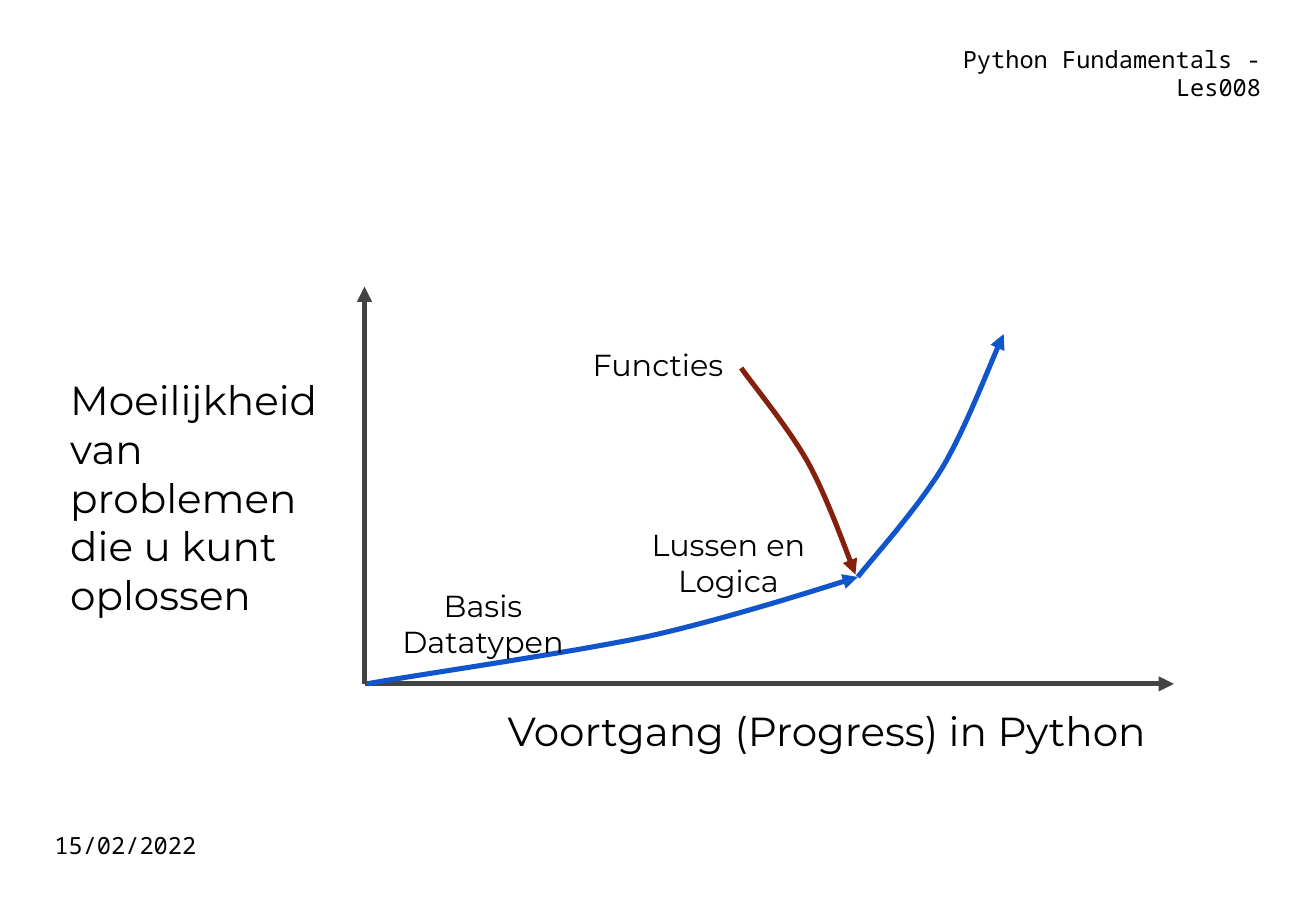
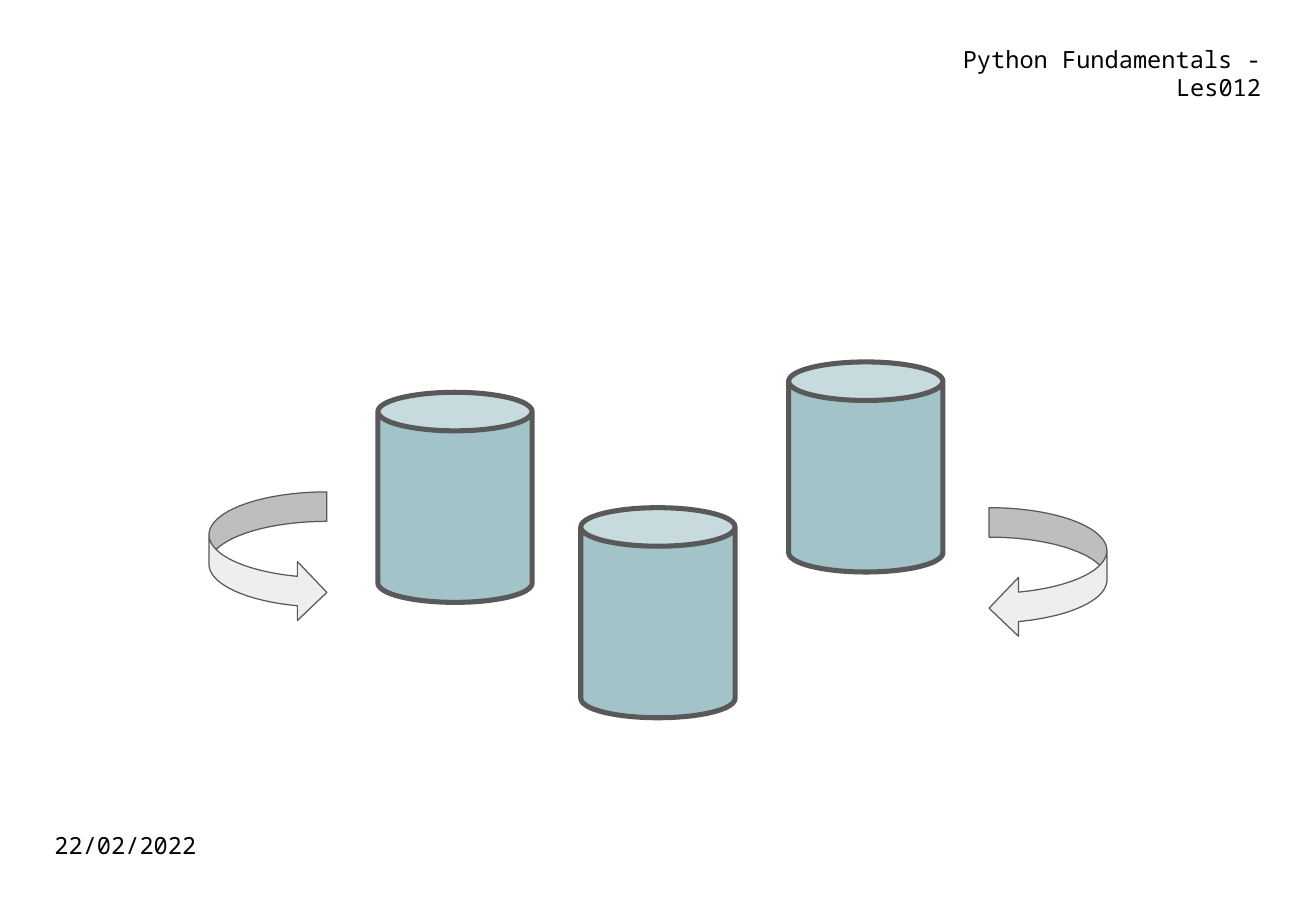
from dataclasses import dataclass

from lxml import etree
from pptx import Presentation
from pptx.dml.color import RGBColor
from pptx.enum.shapes import MSO_CONNECTOR, MSO_SHAPE
from pptx.enum.text import MSO_ANCHOR, MSO_AUTO_SIZE, PP_ALIGN
from pptx.oxml.ns import qn
from pptx.util import Inches, Pt

LEFT, CENTER, RIGHT = PP_ALIGN.LEFT, PP_ALIGN.CENTER, PP_ALIGN.RIGHT
CAN, ARROW = MSO_SHAPE.CAN, MSO_SHAPE.CURVED_RIGHT_ARROW
STRAIGHT = MSO_CONNECTOR.STRAIGHT

BLACK = RGBColor(0x00, 0x00, 0x00)
AXIS = RGBColor(0x43, 0x43, 0x43)
BLUE = RGBColor(0x11, 0x55, 0xCC)
RED = RGBColor(0x85, 0x20, 0x0C)
GRAY = RGBColor(0x59, 0x59, 0x59)
TEAL = RGBColor(0xA2, 0xC4, 0xC9)
PALE = RGBColor(0xEE, 0xEE, 0xEE)

SANS, MONO = "Montserrat", "Noto Sans Mono"
TITLE_ONLY = 5
STEPS = 16
PAD = Inches(0.1)
FRAME = {
    "word_wrap": True,
    "auto_size": MSO_AUTO_SIZE.NONE,
    "vertical_anchor": MSO_ANCHOR.TOP,
    "margin_left": PAD,
    "margin_right": PAD,
    "margin_top": PAD,
    "margin_bottom": PAD,
}

Point = tuple[float, float]
Box = tuple[float, float, float, float]


@dataclass
class Label:
    text: str
    box: Box
    size: int = 18
    align: PP_ALIGN = CENTER
    font: str = SANS


@dataclass
class Curve:
    """Cubic segments: a start, then two control points and an end for each."""
    color: RGBColor
    points: list[Point]


@dataclass
class Solid:
    kind: MSO_SHAPE
    box: Box
    fill: RGBColor
    width: float
    flip: bool = False


AXIS_ENDS = [(3, 2.36), (9.66, 5.63)]
ORIGIN = (3, 5.63)
CURVES = [
    Curve(BLUE, [(3.02, 5.63), (3.4, 5.56), (4.66, 5.38), (5.33, 5.24),
                 (6, 5.09), (6.77, 4.84), (7.06, 4.75)]),
    Curve(BLUE, [(7.06, 4.75), (7.17, 4.61), (7.54, 4.2), (7.75, 3.86),
                 (7.95, 3.53), (8.17, 2.94), (8.26, 2.75)]),
    Curve(RED, [(6.1, 3.03), (6.19, 3.16), (6.48, 3.51), (6.64, 3.79),
                (6.8, 4.07), (6.98, 4.58), (7.04, 4.73)]),
]
LABELS = [
    Label("Functies", (4.46, 2.75, 1.91, 0.42)),
    Label("Voortgang (Progress) in Python", (4.08, 5.71, 5.58, 0.48), 24, LEFT),
    Label("Moeilijkheid van problemen die u kunt oplossen",
          (0.48, 2.99, 2.6, 2.22), 24, LEFT),
    Label("Basis\nDatatypen", (3.02, 4.73, 1.91, 0.42)),
    Label("Lussen en\nLogica", (5.04, 4.23, 1.91, 0.42)),
]
CANS = [(3.11, 3.23), (4.78, 4.18), (6.49, 2.98)]
SOLIDS = [Solid(CAN, (x, y, 1.27, 1.73), TEAL, 3) for x, y in CANS] + [
    Solid(ARROW, (1.72, 4.05, 0.97, 1.07), PALE, 0.75),
    Solid(ARROW, (8.14, 4.18, 0.97, 1.07), PALE, 0.75, True),
]


def apply(item, values: dict) -> None:
    for name, value in values.items():
        setattr(item, name, value)


def write(shape, label: Label) -> None:
    names = ("left", "top", "width", "height")
    apply(shape, dict(zip(names, map(Inches, label.box))))
    frame = shape.text_frame
    frame.text = label.text
    apply(frame, FRAME)
    for para in frame.paragraphs:
        para.alignment = label.align
        apply(para.font, {"name": label.font, "size": Pt(label.size)})
        para.font.color.rgb = BLACK


def add_label(slide, label: Label) -> None:
    write(slide.shapes.add_textbox(*map(Inches, label.box)), label)


def style_line(shape, color: RGBColor, width: float) -> None:
    shape.line.color.rgb = color
    shape.line.width = Pt(width)


def add_head(shape) -> None:
    """Put a triangle at the end of a line that is already styled."""
    line = shape._element.spPr.find(qn("a:ln"))
    etree.SubElement(line, qn("a:tailEnd"), type="triangle")


def add_axis(slide, end: Point) -> None:
    axis = slide.shapes.add_connector(STRAIGHT, *map(Inches, ORIGIN + end))
    style_line(axis, AXIS, 3)
    add_head(axis)
    etree.SubElement(axis._element.spPr, qn("a:effectLst"))


def trace(points: list[Point]) -> list[Point]:
    """Return points along the cubic segments, in slide units."""
    out = [points[0]]
    for i in range(0, len(points) - 1, 3):
        part = points[i:i + 4]
        for step in range(1, STEPS + 1):
            t = step / STEPS
            u = 1 - t
            mix = (u**3, 3 * u * u * t, 3 * u * t * t, t**3)
            out.append(tuple(sum(m * p[k] for m, p in zip(mix, part))
                             for k in (0, 1)))
    return [(Inches(x), Inches(y)) for x, y in out]


def add_curve(slide, curve: Curve) -> None:
    start, *rest = trace(curve.points)
    path = slide.shapes.build_freeform(*start)
    path.add_line_segments(rest, close=False)
    shape = path.convert_to_shape()
    shape.shadow.inherit = False
    shape.fill.background()
    style_line(shape, curve.color, 3)
    add_head(shape)


def add_solid(slide, solid: Solid) -> None:
    shape = slide.shapes.add_shape(solid.kind, *map(Inches, solid.box))
    shape.shadow.inherit = False
    shape.fill.solid()
    shape.fill.fore_color.rgb = solid.fill
    style_line(shape, GRAY, solid.width)
    if solid.flip:
        shape._element.spPr.xfrm.set("flipH", "1")


def add_slide(deck, lesson: str, date: str):
    slide = deck.slides.add_slide(deck.slide_layouts[TITLE_ONLY])
    write(slide.shapes.title, Label(f"Python Fundamentals - {lesson}",
                                    (7.05, 0.27, 3.43, 0.48), 14, RIGHT, MONO))
    add_label(slide, Label(date, (0.35, 6.74, 3.43, 0.48), 14, LEFT, MONO))
    return slide


def main() -> None:
    deck = Presentation()
    deck.slide_width, deck.slide_height = Inches(10.83), Inches(7.5)

    graph = add_slide(deck, "Les008", "15/02/2022")
    for end in AXIS_ENDS:
        add_axis(graph, end)
    for curve in CURVES:
        add_curve(graph, curve)
    for label in LABELS:
        add_label(graph, label)

    cups = add_slide(deck, "Les012", "22/02/2022")
    for solid in SOLIDS:
        add_solid(cups, solid)

    deck.save("out.pptx")


if __name__ == "__main__":
    main()
